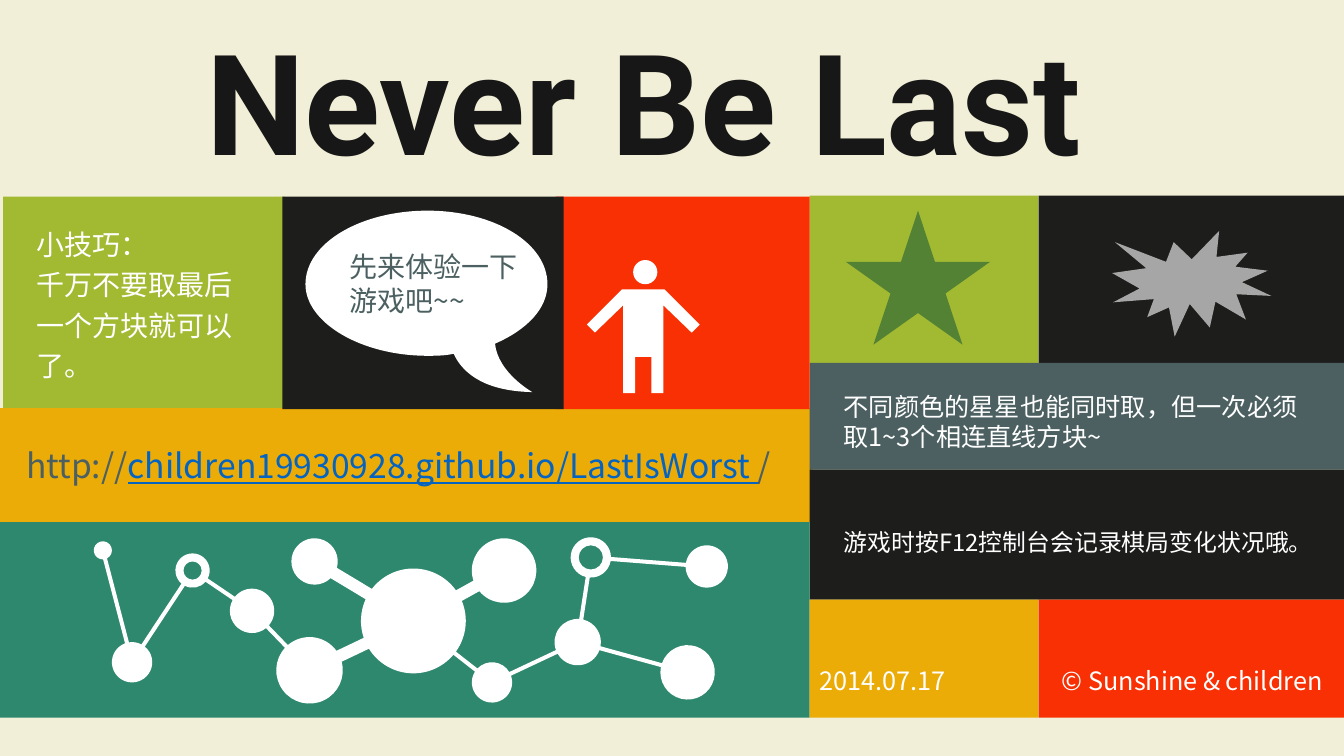
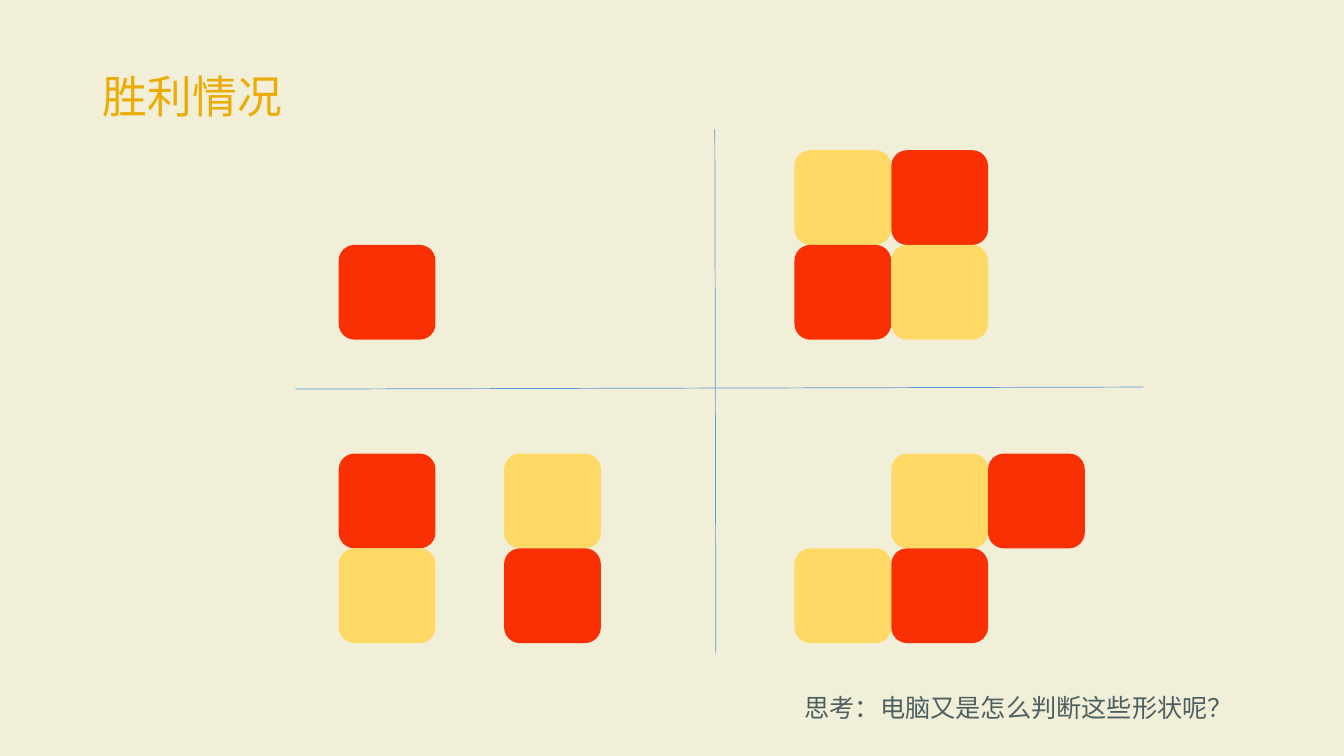
import math

import pptx
import pptx.util
import pptx.dml.color
import pptx.enum.shapes
import pptx.enum.text
import pptx.oxml.ns
from lxml import etree

UNIT = 9144  # one px is a hundredth of an inch
SANS = "Noto Sans CJK SC"
KIND = pptx.enum.shapes.MSO_SHAPE
ALIGN = pptx.enum.text.PP_ALIGN
ANCHOR = pptx.enum.text.MSO_ANCHOR
QN = pptx.oxml.ns.qn
HUES = {
    "paper": "F1EFD7", "lime": "A2B932", "gold": "EBAC07", "black": "1D1D1B",
    "slate": "4C6062", "red": "F83003", "teal": "2D886E", "white": "FFFFFF",
    "leaf": "548235", "grey": "A6A6A6", "sand": "FFD966", "blue": "5B9BD5",
    "link": "0563C1", "ink": "181717",
}
# Network nodes: centre x, centre y, radius, radius of the hole
NODES = {
    "a": (102, 546, 9, 0), "b": (131, 657, 20, 0), "c": (191, 566, 17, 9),
    "d": (250, 606, 22, 0), "e": (307, 665, 33, 0), "f": (312, 557, 23, 0),
    "g": (410, 616, 52, 0), "h": (500, 566, 32, 0), "i": (488, 677, 20, 0),
    "j": (573, 637, 23, 0), "k": (586, 553, 20, 12), "l": (701, 562, 21, 0),
    "m": (682, 667, 27, 0),
}
# Half the width of each link between two nodes
LINKS = {pair: half for half, pairs in
         {2: "ab bc cd de gi ij jk kl jm", 6: "eg fg gh"}.items()
         for pair in pairs.split()}


def px(num):
    return pptx.util.Emu(round(num * UNIT))


def hue(name):
    return pptx.dml.color.RGBColor.from_string(HUES[name])


def text(frame, paras, size=18, color="white", font=SANS, bold=False,
         align=ALIGN.LEFT, space=1.0, anchor=ANCHOR.TOP):
    """Fill a frame; a paragraph is a string or a list of (words, color, line)."""
    frame.word_wrap = True
    frame.auto_size = pptx.enum.text.MSO_AUTO_SIZE.NONE
    frame.vertical_anchor = anchor
    for num, para in enumerate(paras):
        line = frame.add_paragraph() if num else frame.paragraphs[0]
        line.alignment = align
        line.line_spacing = space
        parts = [(para, color, False)] if isinstance(para, str) else para
        for words, tint, under in parts:
            run = line.add_run()
            run.text = words
            face = run.font
            face.size = pptx.util.Pt(size)
            face.bold = bold
            face.underline = under
            face.color.rgb = hue(tint)
            face.name = font
            east = etree.SubElement(run._r.get_or_add_rPr(), QN("a:ea"))
            east.set("typeface", font)


def label(slide, box, paras, **style):
    area = slide.shapes.add_textbox(*map(px, box))
    text(area.text_frame, paras, **style)


def title(slide, box, words, **style):
    head = slide.shapes.title
    head.left, head.top, head.width, head.height = map(px, box)
    text(head.text_frame, [words], **style)


def paint(shape, color):
    shape.shadow.inherit = False
    shape.fill.solid()
    shape.fill.fore_color.rgb = hue(color)
    shape.line.fill.background()
    return shape


def block(slide, box, color, kind=KIND.RECTANGLE):
    return paint(slide.shapes.add_shape(kind, *map(px, box)), color)


def outline(slide, loops, color):
    """Draw closed loops of points as one shape."""
    loops = [[(px(x), px(y)) for x, y in loop] for loop in loops]
    pen = slide.shapes.build_freeform(*loops[0][0], scale=1.0)
    for num, loop in enumerate(loops):
        if num:
            pen.move_to(*loop[0])
        pen.add_line_segments(loop[1:], close=True)
    return paint(pen.convert_to_shape(), color)


def smooth(shape):
    """Turn each three line segments into one cubic curve."""
    lines = list(shape._element.iter(QN("a:lnTo")))
    for num in range(0, len(lines), 3):
        bend = etree.Element(QN("a:cubicBezTo"))
        lines[num].addprevious(bend)
        for line in lines[num:num + 3]:
            bend.append(line[0])
            line.getparent().remove(line)


def rule(slide, start, end, color, width):
    line = slide.shapes.add_connector(
        pptx.enum.shapes.MSO_CONNECTOR.STRAIGHT, *map(px, start + end))
    line.line.color.rgb = hue(color)
    line.line.width = pptx.util.Pt(width)
    etree.SubElement(line._element.spPr, QN("a:effectLst"))


def arc(x, y, rad, start, end):
    """A straight step to the start of an arc, then the arc, as cubics."""
    count = max(1, math.ceil((end - start) / (math.pi / 2) - 0.01))
    step = (end - start) / count
    pull = 4 / 3 * math.tan(step / 4)

    def spot(turn, shift=0):
        c, s = math.cos(turn), math.sin(turn)
        return x + rad * (c - shift * s), y + rad * (s + shift * c)

    points = [spot(start)] * 3
    for num in range(count):
        turn = start + num * step
        points += [spot(turn, pull), spot(turn + step, -pull),
                   spot(turn + step)]
    return points


def walk(name, back):
    """Trace the rim of a node and all that hangs on it, from its parent."""
    x, y, rad, _ = NODES[name]

    def angle(other):
        return math.atan2(NODES[other][1] - y, NODES[other][0] - x)

    def gap(other):
        return math.asin(LINKS["".join(sorted(name + other))] / rad)

    base = angle(back)
    near = [pair.replace(name, "") for pair in LINKS if name in pair]
    turns = sorted(((angle(kid) - base) % math.tau, kid)
                   for kid in near if kid != back)
    now, points = base + gap(back), []
    for turn, kid in turns:
        points += arc(x, y, rad, now, base + turn - gap(kid))
        points += walk(kid, name)
        now = base + turn + gap(kid)
    return points + arc(x, y, rad, now, base + math.tau - gap(back))


def graph(slide):
    rim = walk("a", "b") + walk("b", "a")
    holes = [arc(x, y, hole, 0, math.tau)
             for x, y, _, hole in NODES.values() if hole]
    loops = [loop[2:] for loop in [rim] + holes]
    smooth(outline(slide, loops, "white"))


def person(slide):
    mid = 638
    half = [(21, 287), (56, 322), (48, 330), (20, 303), (20, 390), (8, 390),
            (8, 354)]
    right = [(mid + x, y) for x, y in half]
    left = [(mid - x, y) for x, y in reversed(half)]
    outline(slide, [right + left], "white")
    block(slide, (628, 258, 24, 24), "white", KIND.OVAL)


def bubble(slide):
    curve = [
        (424, 209), (490, 209), (543, 241), (543, 282),
        (543, 306), (523, 327), (491, 341), (494, 370), (528, 389), (528, 389),
        (475, 388), (457, 366), (450, 351), (441, 353), (432, 353), (424, 353),
        (358, 353), (303, 320), (303, 282), (303, 241), (358, 209), (424, 209),
    ]
    smooth(outline(slide, [curve], "white"))


def cover(slide):
    title(slide, (3, 10, 1271, 178), "Never Be Last", size=100, color="ink",
          font="Roboto", bold=True, align=ALIGN.CENTER)

    # Colour blocks
    for box, color in [
        ((3, 195, 279, 211), "lime"), ((0, 405, 806, 113), "gold"),
        ((803, 194, 227, 166), "lime"), ((1030, 194, 305, 166), "black"),
        ((803, 360, 532, 106), "slate"), ((803, 466, 532, 129), "black"),
        ((0, 518, 803, 194), "teal"), ((551, 195, 252, 211), "red"),
        ((280, 195, 279, 211), "black"),
    ]:
        block(slide, box, color)
    for box, color, words, align in [
        ((803, 595, 227, 117), "gold", "2014.07.17", ALIGN.LEFT),
        ((1030, 595, 305, 117), "red", "© Sunshine & children", ALIGN.CENTER),
    ]:
        frame = block(slide, box, color).text_frame
        frame.margin_bottom = px(22)
        text(frame, [words], align=align, anchor=ANCHOR.BOTTOM)

    # Drawings
    graph(slide)
    person(slide)
    bubble(slide)
    block(slide, (839, 209, 143, 133), "leaf", KIND.STAR_5_POINT)
    block(slide, (1103, 229, 158, 105), "grey", KIND.EXPLOSION1)

    # Words
    label(slide, (26, 214, 230, 168),
          ["小技巧：", "千万不要取最后一个方块就可以了。"], size=20, space=1.2)
    label(slide, (337, 243, 192, 77), ["先来体验一下游戏吧~~"],
          size=20, color="slate")
    label(slide, (16, 436, 782, 50), [[
        ("http://", "slate", False),
        ("children19930928.github.io/LastIsWorst ", "link", True),
        ("/", "slate", False)]], size=24)
    label(slide, (827, 383, 477, 71),
          ["不同颜色的星星也能同时取，但一次必须取1~3个相连直线方块~"])
    label(slide, (827, 513, 465, 44),
          ["游戏时按F12控制台会记录棋局变化状况哦。"], size=17, space=1.2)


def tiles(slide, left, top, rows):
    wide, high = 96, 94
    tints = {"R": "red", "Y": "sand"}
    for row, marks in enumerate(rows):
        for col, mark in enumerate(marks):
            if mark in tints:
                block(slide, (left + col * wide, top + row * high, wide, high),
                      tints[mark], KIND.ROUNDED_RECTANGLE)


def wins(slide):
    title(slide, (92, 63, 270, 64), "胜利情况", size=32, color="gold")

    # Winning patterns, a dot marks an empty cell
    tiles(slide, 336, 243, ["R"])
    tiles(slide, 336, 450, ["R", "Y"])
    tiles(slide, 500, 450, ["Y", "R"])
    tiles(slide, 788, 149, ["YR", "RY"])
    tiles(slide, 788, 450, [".YR", "YR."])

    # Cross lines
    rule(slide, (293, 386), (1134, 384), "blue", 0.5)
    rule(slide, (709, 128), (710, 649), "blue", 0.5)
    label(slide, (788, 682, 461, 40), ["思考：电脑又是怎么判断这些形状呢？"],
          color="slate")


def main():
    deck = pptx.Presentation()
    deck.slide_width, deck.slide_height = px(1333), px(750)
    back = deck.slide_master.background.fill
    back.solid()
    back.fore_color.rgb = hue("paper")
    for build in (cover, wins):
        build(deck.slides.add_slide(deck.slide_layouts.get_by_name("Title Only")))
    deck.save("out.pptx")


if __name__ == "__main__":
    main()
